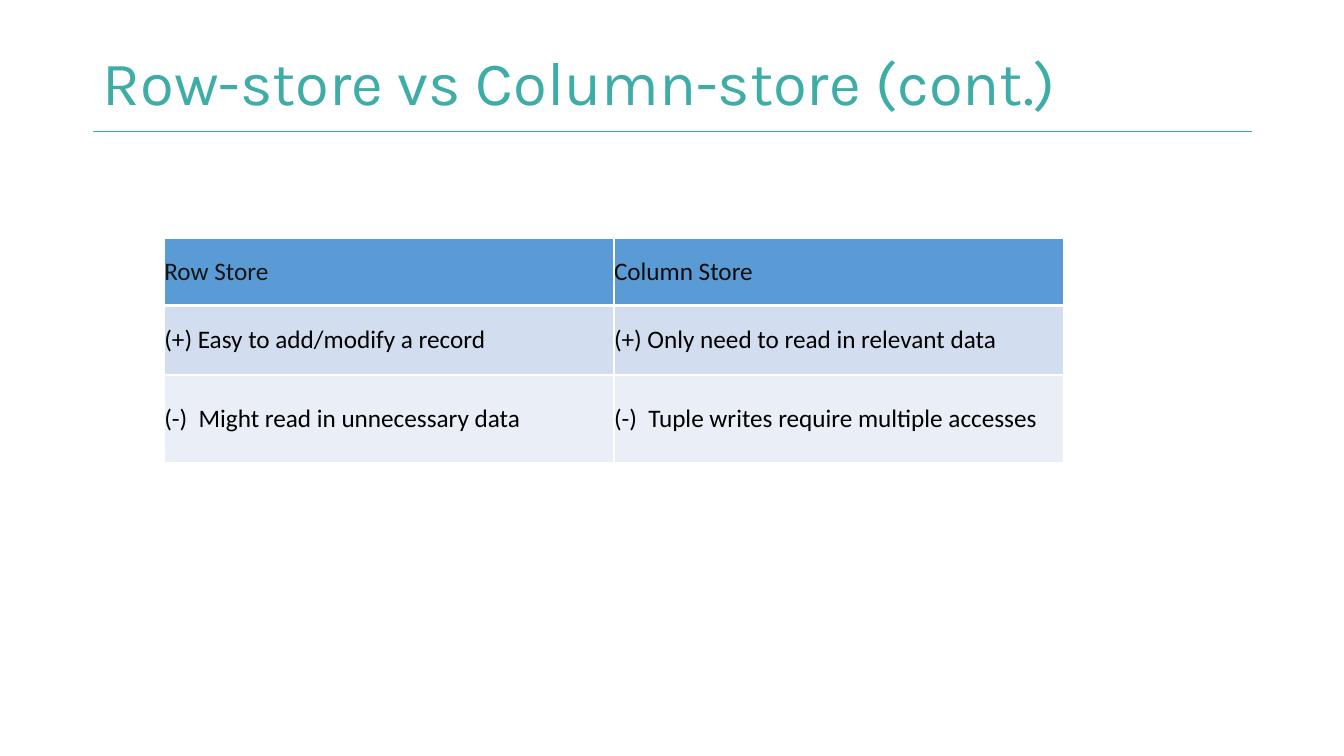
from pptx import Presentation
from pptx.dml.color import RGBColor
from pptx.enum.shapes import MSO_CONNECTOR as Connector
from pptx.enum.text import MSO_ANCHOR as Anchor, PP_ALIGN as Align
from pptx.oxml import parse_xml
from pptx.oxml.ns import nsdecls
from pptx.util import Inches, Pt

COLORS = {
    "title": "3EADA7", "rule": "3DACA7", "border": "FFFFFF",
    "row_head": "131515", "column_head": "0C0C0C", "text": "000000",
    "header": "5B9BD5", "pros": "D2DEEF", "cons": "EAEFF7",
}


class SlideBuilder:
    """Holds the style and the current slide."""

    title_font = "Karla"
    body_font = "Calibri"

    def __init__(self, page):
        """Keep the slide to draw on."""
        self.page = page

    def color(self, name):
        """Look up a named colour."""
        return RGBColor.from_string(COLORS[name])

    def format_text(self, para, font, size, color):
        """Format every run of a paragraph."""
        for span in para.runs:
            span.font.name = font
            span.font.size = Pt(size)
            span.font.bold = False
            span.font.color.rgb = self.color(color)

    def title(self, text, left, top, width, height):
        """Place and format the title placeholder."""
        box = self.page.shapes.title
        box.left, box.top = Inches(left), Inches(top)
        box.width, box.height = Inches(width), Inches(height)
        frame = box.text_frame
        frame.text = text
        frame.word_wrap = True
        frame.vertical_anchor = Anchor.MIDDLE
        para = frame.paragraphs[0]
        para.alignment = Align.LEFT
        para.line_spacing = 0.9
        self.format_text(para, self.title_font, 44, "title")

    def rule(self, left, right, y):
        """Draw a thin horizontal line."""
        line = self.page.shapes.add_connector(
            Connector.STRAIGHT, Inches(left), Inches(y), Inches(right), Inches(y))
        line.line.color.rgb = self.color("rule")
        line.line.width = Pt(0.5)
        line._element.spPr.append(parse_xml(f"<a:effectLst {nsdecls('a')}/>"))

    def borders(self, cell, bottom):
        """Give a cell solid borders, with its own bottom width in points."""
        properties = cell._tc.get_or_add_tcPr()
        for side, width in {"L": 1, "R": 1, "T": 1, "B": bottom}.items():
            properties.append(parse_xml(
                f'<a:ln{side} {nsdecls("a")} w="{Pt(width)}"><a:solidFill>'
                f'<a:srgbClr val="{COLORS["border"]}"/></a:solidFill></a:ln{side}>'))

    def cell(self, cell, text, color, fill, bottom):
        """Fill one table cell."""
        cell.text_frame.text = text
        cell.vertical_anchor = Anchor.MIDDLE
        cell.margin_left = cell.margin_right = 0
        cell.margin_top = cell.margin_bottom = 0
        self.borders(cell, bottom)
        cell.fill.solid()
        cell.fill.fore_color.rgb = self.color(fill)
        self.format_text(cell.text_frame.paragraphs[0], self.body_font, 18, color)

    def table(self, rows, left, top, column_width):
        """Add a table from rows of (height, fill, text colours, texts)."""
        count = len(rows[0][3])
        height = sum(row[0] for row in rows)
        table = self.page.shapes.add_table(
            len(rows), count, Inches(left), Inches(top),
            Inches(column_width * count), Inches(height)).table
        for column in table.columns:
            column.width = Inches(column_width)
        for r, (row_height, fill, colors, texts) in enumerate(rows):
            table.rows[r].height = Inches(row_height)
            for c, (text, color) in enumerate(zip(texts, colors)):
                self.cell(table.cell(r, c), text, color, fill, 1 if r else 3)


STORE_ROWS = [
    (0.66, "header", ("row_head", "column_head"), ("Row Store", "Column Store")),
    (0.69, "pros", ("text", "text"),
     ("(+) Easy to add/modify a record", "(+) Only need to read in relevant data")),
    (0.87, "cons", ("text", "text"),
     ("(-)\u00a0 Might read in unnecessary data",
      "(-)\u00a0 Tuple writes require multiple accesses")),
]

deck = Presentation()
deck.slide_width, deck.slide_height = Inches(13.33), Inches(7.5)
builder = SlideBuilder(deck.slides.add_slide(deck.slide_layouts[5]))
builder.rule(0.92, 12.42, 1.3)
builder.title("Row-store vs Column-store (cont.)", 0.92, 0.4, 10.33, 0.9)
builder.table(STORE_ROWS, 1.63, 2.37, 4.46)
deck.save("out.pptx")
